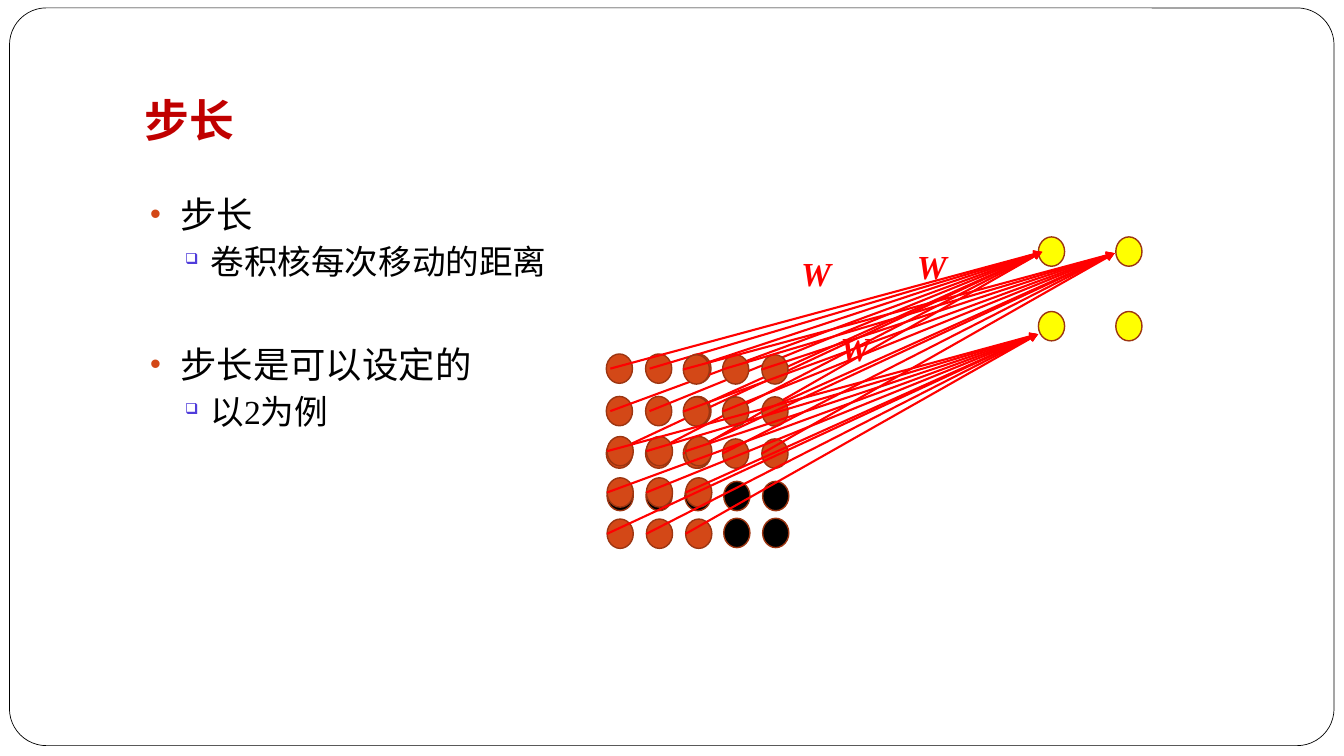
from lxml.etree import SubElement
from pptx import Presentation
from pptx.dml.color import RGBColor
from pptx.enum.shapes import MSO_CONNECTOR, MSO_SHAPE
from pptx.enum.text import MSO_ANCHOR, MSO_AUTO_SIZE, PP_ALIGN
from pptx.oxml.ns import qn
from pptx.util import Cm, Pt

FONT = "Times New Roman"
RED, ORANGE, BROWN = "FF0000", "D34817", "9C3511"
NODE_W, NODE_H = 0.66, 0.74
COL_STEP = 0.99

# Unvisited input nodes: row top -> columns
INPUT_NODES = {12.13: range(5), 13.06: (3, 4)}

# Kernel left and top, row step, line start inset, arrow tip, label position
KERNELS = [
    (15.28, 8.92, 1.07, 0.1, (26.26, 6.35), (19.94, 6.25)),
    (17.22, 8.94, 1.06, 0, (28.09, 6.38), (22.86, 6.07)),
    (15.3, 11, 1.04, 0, (26.16, 8.42), (20.93, 8.13)),
]

# Text, level, space before
BODY = [("步长", 0, 0), ("卷积核每次移动的距离", 1, 3.7),
        ("步长是可以设定的", 0, 43), ("以2为例", 1, 3.7)]
# Level -> bullet, its font, colour and size %, left margin, hanging indent, text size
LEVELS = [("•", "Arial", ORANGE, 85, 0.76, 0.76, 26),
          ("q", "Wingdings", "503DDB", 45, 1.52, 0.64, 24)]


def rgb(color):
    return RGBColor.from_string(color)


def write(p, text, size, color="000000", bold=False, italic=False):
    r = p.add_run()
    r.text = text
    f = r.font
    f.name, f.size, f.bold, f.italic = FONT, Pt(size), bold, italic
    f.color.rgb = rgb(color)


def place(sp, x, y, w, h):
    sp.left, sp.top, sp.width, sp.height = Cm(x), Cm(y), Cm(w), Cm(h)


def add_shape(shapes, kind, box, fill, line, width):
    sp = shapes.add_shape(kind, *map(Cm, box))
    sp.shadow.inherit = False
    sp.fill.solid()
    sp.fill.fore_color.rgb = rgb(fill)
    sp.line.color.rgb = rgb(line)
    sp.line.width = Pt(width)
    return sp


def add_node(shapes, x, y, fill):
    add_shape(shapes, MSO_SHAPE.OVAL, (x, y, NODE_W, NODE_H), fill, BROWN, 1)


def add_arrow(shapes, start, tip):
    c = shapes.add_connector(MSO_CONNECTOR.STRAIGHT, *map(Cm, start + tip))
    c.line.color.rgb = rgb(RED)
    c.line.width = Pt(1.5)
    sp_pr = c._element.spPr
    SubElement(sp_pr.find(qn("a:ln")), qn("a:tailEnd"), type="triangle")
    SubElement(sp_pr, qn("a:effectLst"))


def add_label(shapes, text, x, y):
    tf = shapes.add_textbox(Cm(x), Cm(y), Cm(1.65), Cm(1.27)).text_frame
    tf.word_wrap = True
    write(tf.paragraphs[0], text, 24, RED, bold=True, italic=True)


def add_kernel(s, left, top, row_step, inset, tip, label):
    """Draw a 3 x 3 window, its arrows to one output node and its weight label."""
    shapes = s.shapes.add_group_shape().shapes
    cells = [(left + COL_STEP * col, top + row_step * row)
             for row in range(3) for col in range(3)]
    for x, y in cells:
        add_node(shapes, x, y, ORANGE)
    for x, y in cells:
        add_arrow(shapes, (x + inset, y + NODE_H / 2), tip)
    add_label(shapes, "W", *label)


def add_frame(s):
    sp = add_shape(s.shapes, MSO_SHAPE.ROUNDED_RECTANGLE,
                   (0.24, 0.2, 33.38, 18.59), "FFFFFF", "000000", 0.5)
    sp.adjustments[0] = 0.05
    s.shapes._spTree.insert(2, sp._element)  # behind the placeholders


def fill_title(title, text):
    place(title, 3.38, 0.76, 28.78, 3.18)
    tf = title.text_frame
    tf.auto_size = MSO_AUTO_SIZE.NONE
    tf.vertical_anchor = MSO_ANCHOR.BOTTOM
    tf.margin_bottom = Cm(0.25)
    p = tf.paragraphs[0]
    p.alignment = PP_ALIGN.LEFT
    write(p, text, 32, "C00000", bold=True)


def set_bullet(p, char, font, color, percent, margin, hanging):
    pr = p._p.get_or_add_pPr()
    pr.set("marL", str(Cm(margin)))
    pr.set("indent", str(-Cm(hanging)))
    SubElement(SubElement(pr, qn("a:buClr")), qn("a:srgbClr"), val=color)
    SubElement(pr, qn("a:buSzPct"), val=str(percent * 1000))
    SubElement(pr, qn("a:buFont"), typeface=font)
    SubElement(pr, qn("a:buChar"), char=char)


def fill_body(body):
    place(body, 3.53, 4.72, 28.78, 12.7)
    tf = body.text_frame
    tf.auto_size = MSO_AUTO_SIZE.NONE
    for i, (text, level, before) in enumerate(BODY):
        p = tf.add_paragraph() if i else tf.paragraphs[0]
        *bullet, size = LEVELS[level]
        p.level = level
        set_bullet(p, *bullet)
        p.space_before = Pt(before)
        write(p, text, size)


def main():
    prs = Presentation()
    prs.slide_width, prs.slide_height = Cm(33.87), Cm(19.05)
    s = prs.slides.add_slide(prs.slide_layouts[1])
    add_frame(s)
    fill_title(s.shapes.title, "步长")
    fill_body(s.placeholders[1])

    inputs = s.shapes.add_group_shape().shapes
    for y, cols in INPUT_NODES.items():
        for col in cols:
            add_node(inputs, 15.3 + 0.98 * col, y, "000000")
    outputs = s.shapes.add_group_shape().shapes
    for y in (5.97, 7.85):
        for x in (26.17, 28.12):
            add_node(outputs, x, y, "FFFF00")
    for kernel in KERNELS:
        add_kernel(s, *kernel)
    prs.save("out.pptx")


if __name__ == "__main__":
    main()
